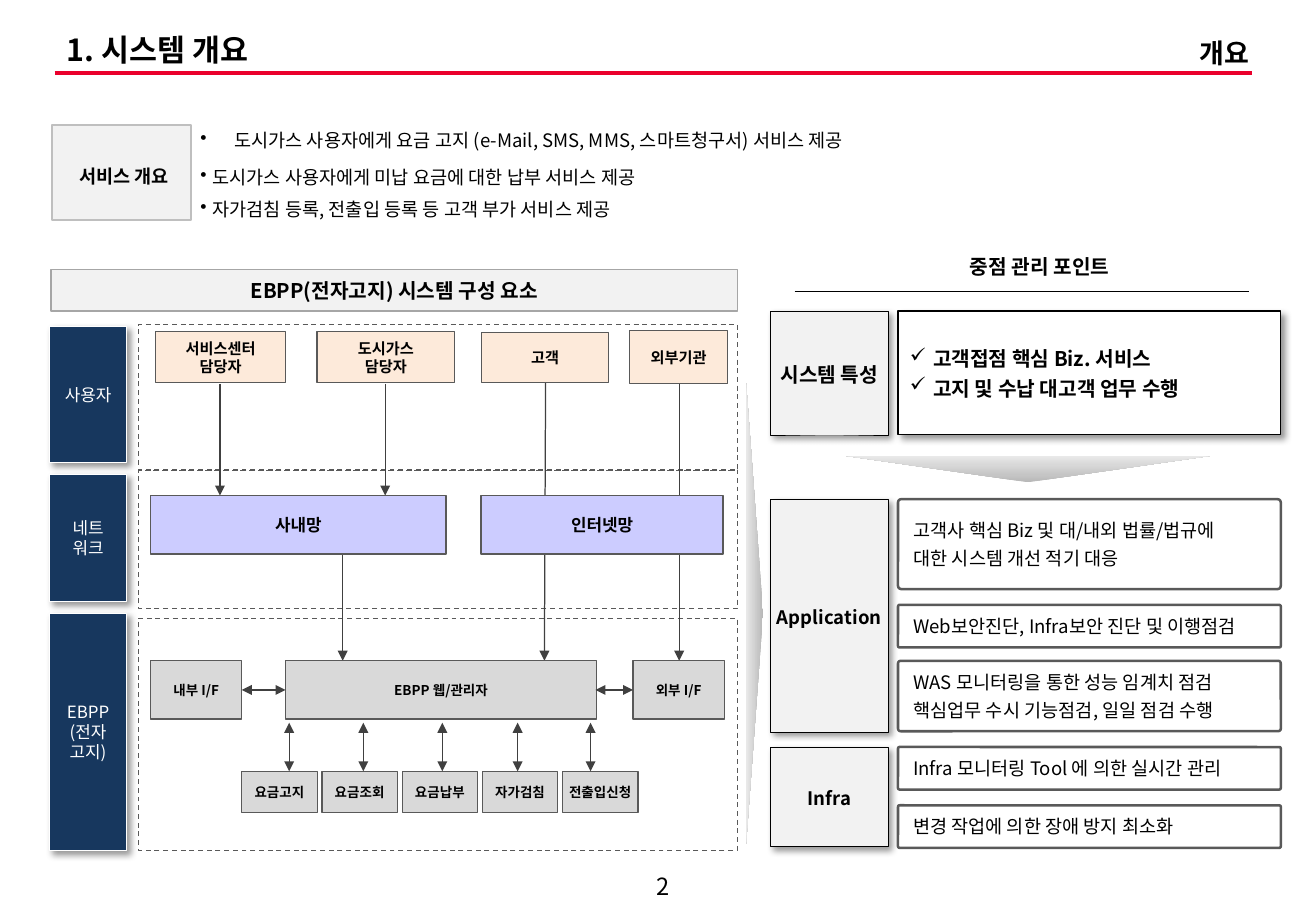
from lxml import etree
from pptx import Presentation
from pptx.dml.color import RGBColor
from pptx.enum.dml import MSO_LINE
from pptx.enum.shapes import MSO_CONNECTOR, MSO_SHAPE
from pptx.enum.text import MSO_ANCHOR, MSO_AUTO_SIZE, PP_ALIGN
from pptx.oxml.ns import qn
from pptx.util import Inches, Pt

RECTANGLE = MSO_SHAPE.RECTANGLE
ROUNDED = MSO_SHAPE.ROUNDED_RECTANGLE
TRIANGLE = MSO_SHAPE.ISOSCELES_TRIANGLE
STRAIGHT = MSO_CONNECTOR.STRAIGHT
DASH = MSO_LINE.DASH
NO_AUTOFIT = MSO_AUTO_SIZE.NONE
TOP, MIDDLE = MSO_ANCHOR.TOP, MSO_ANCHOR.MIDDLE
LEFT, CENTER, RIGHT = PP_ALIGN.LEFT, PP_ALIGN.CENTER, PP_ALIGN.RIGHT

COLORS = {
    "black": "000000", "white": "FFFFFF", "red": "EA002C", "navy": "17375E",
    "pale": "F2F2F2", "silver": "BFBFBF", "gray": "A6A6A6", "border": "595959",
    "arrow": "404040", "peach": "FDEADA", "lavender": "CCCCFF", "module": "D9D9D9",
    "shade_dark": "B8B8B8", "shade_light": "E9E9E9",
}
WIDE_INSET = (0.1, 0.05, 0.1, 0.05)
NODE_INSET = (0, 0.05, 0, 0.05)
CARD_INSET = (0.12, 0.04, 0.08, 0.04)


def rgb(name):
    return RGBColor.from_string(COLORS[name])


class SlideBuilder:
    font = "Noto Sans CJK KR"

    def __init__(self, deck):
        self.page = deck.slides.add_slide(deck.slide_layouts[5])

    def set_text(self, box, lines, size, bold=False, color="black", align=CENTER,
                 anchor=MIDDLE, inset=WIDE_INSET, wrap=True, spacing=None, gap=0):
        frame = box.text_frame
        frame.text = "\n".join(lines)
        frame.auto_size = NO_AUTOFIT
        frame.word_wrap = wrap
        frame.vertical_anchor = anchor
        (frame.margin_left, frame.margin_top,
         frame.margin_right, frame.margin_bottom) = map(Inches, inset)
        for index, para in enumerate(frame.paragraphs):
            para.alignment = align
            para.line_spacing = spacing
            para.space_before = Pt(gap if index else 0)
            for span in para.runs:
                span.font.size = Pt(size)
                span.font.bold = bold
                span.font.color.rgb = rgb(color)
                span.font.name = self.font
                properties = span._r.get_or_add_rPr()
                etree.SubElement(properties, qn("a:ea"), typeface=self.font)
        return frame

    def bullet(self, para, symbol, indent):
        properties = para._p.get_or_add_pPr()
        properties.set("marL", str(Inches(indent)))
        properties.set("indent", str(-Inches(indent)))
        etree.SubElement(properties, qn("a:buChar"), char=symbol)

    def title(self, text, left, top, width, height):
        box = self.page.shapes.title
        box.left, box.top, box.width, box.height = map(Inches, (left, top, width, height))
        self.set_text(box, [text], 18, bold=True, align=LEFT, spacing=0.9)

    def text(self, place, lines, size, **style):
        box = self.page.shapes.add_textbox(*map(Inches, place))
        return self.set_text(box, lines, size, **style)

    def shape(self, place, fill, line=None, weight=0.75, kind=RECTANGLE,
              dash=None, shadow=False):
        box = self.page.shapes.add_shape(kind, *map(Inches, place))
        box.shadow.inherit = False
        box.fill.solid()
        box.fill.fore_color.rgb = rgb(fill)
        if line:
            box.line.color.rgb = rgb(line)
            box.line.width = Pt(weight)
            box.line.dash_style = dash
        else:
            box.line.fill.background()
        if kind == ROUNDED:
            box.adjustments[0] = 0.036
        if shadow:
            effects = box.element.spPr.find(qn("a:effectLst"))
            outer = etree.SubElement(effects, qn("a:outerShdw"), blurRad=str(Pt(4)),
                                     dist=str(Pt(3)), dir="2700000", algn="tl",
                                     rotWithShape="0")
            tint = etree.SubElement(outer, qn("a:srgbClr"), val=COLORS["black"])
            etree.SubElement(tint, qn("a:alpha"), val="40000")
        return box

    def node(self, place, lines, fill, size, weight=0.75):
        box = self.shape(place, fill, "border", weight)
        self.set_text(box, lines, size, bold=True, inset=NODE_INSET)

    def wedge(self, place, rotation):
        box = self.shape(place, "shade_dark", kind=TRIANGLE)
        box.rotation = rotation
        box.fill.gradient()
        box.fill.gradient_angle = 270
        for stop, name in zip(box.fill.gradient_stops, ("shade_dark", "shade_light")):
            stop.color.rgb = rgb(name)

    def line(self, start, end, color="arrow", weight=0.75, ends=()):
        link = self.page.shapes.add_connector(STRAIGHT, *map(Inches, start + end))
        link.line.color.rgb = rgb(color)
        link.line.width = Pt(weight)
        properties = link.element.spPr
        for end_name in ends:
            etree.SubElement(properties.find(qn("a:ln")), qn(f"a:{end_name}"), type="triangle")
        etree.SubElement(properties, qn("a:effectLst"))


def add_header(slide):
    slide.text((5.1, 7.14, 0.71, 0.31), ["2"], 14)
    slide.line((0.45, 0.6), (10.3, 0.6), "red", 2.25)
    slide.title("1. 시스템 개요", 0.45, 0.24, 8.03, 0.37)
    slide.text((9.12, 0.25, 1.26, 0.37), ["개요"], 16, bold=True, align=RIGHT, anchor=TOP)


def add_overview(slide):
    label = slide.shape((0.43, 1.03, 1.14, 0.78), "pale", "silver", 1)
    slide.set_text(label, ["서비스 개요"], 11, bold=True, wrap=False, spacing=1.35,
                   inset=(0.14, 0.05, 0.1, 0.05))
    services = [
        "도시가스 사용자에게 요금 고지 (e-Mail, SMS, MMS, 스마트청구서) 서비스 제공",
        "도시가스 사용자에게 미납 요금에 대한 납부 서비스 제공",
        "자가검침 등록, 전출입 등록 등 고객 부가 서비스 제공",
    ]
    frame = slide.text((1.55, 0.99, 9.04, 0.89), services, 11, align=LEFT,
                       anchor=TOP, spacing=Pt(18.7))
    first = frame.paragraphs[0]
    first.line_spacing = Pt(15)
    first.space_after = Pt(3)
    for para, indent in zip(frame.paragraphs, (0.28, 0.1, 0.1)):
        slide.bullet(para, "•", indent)


def add_architecture(slide):
    heading = slide.shape((0.42, 2.22, 5.65, 0.34), "pale", "gray", 1)
    slide.set_text(heading, ["EBPP(전자고지) 시스템 구성 요소"], 12, bold=True, wrap=False)
    for top, height in ((5.09, 1.91), (3.87, 1.14), (2.67, 1.2)):
        slide.shape((1.14, top, 4.93, height), "white", "border", dash=DASH)
    for top, height, lines in ((2.69, 1.12, ["사용자"]), (3.91, 1.04, ["네트", "워크"]),
                               (5.05, 1.95, ["EBPP", "(전자", "고지)"])):
        layer = slide.shape((0.41, top, 0.63, height), "navy", "white", shadow=True)
        slide.set_text(layer, lines, 10, color="white", inset=(0.04, 0.05, 0.04, 0.05))

    for start, end in (((1.81, 3.16), (1.81, 4.08)), ((3.17, 3.16), (3.17, 4.08)),
                       ((4.49, 3.15), (4.48, 5.44)), ((5.59, 3.16), (5.59, 5.44)),
                       ((2.82, 4.52), (2.82, 5.44))):
        slide.line(start, end, ends=("tailEnd",))
    for place, lines in (((1.28, 2.73, 1.07, 0.42), ["서비스센터", "담당자"]),
                         ((2.61, 2.73, 1.13, 0.42), ["도시가스", "담당자"]),
                         ((3.96, 2.74, 1.05, 0.41), ["고객"]),
                         ((5.18, 2.72, 0.81, 0.44), ["외부기관"])):
        slide.node(place, lines, "peach", 9)
    for left, width, name in ((1.24, 2.43, "사내망"), (3.96, 1.99, "인터넷망")):
        slide.node((left, 4.08, width, 0.48), [name], "lavender", 10, 1)
    for left, width, name in ((1.24, 0.75, "내부 I/F"), (2.35, 2.56, "EBPP 웹/관리자"),
                              (5.21, 0.75, "외부 I/F")):
        slide.node((left, 5.44, width, 0.48), [name], "module", 8)

    both_ends = ("headEnd", "tailEnd")
    for start, end in ((1.99, 2.35), (4.9, 5.21)):
        slide.line((start, 5.68), (end, 5.68), ends=both_ends)
    modules = ["요금고지", "요금조회", "요금납부", "자가검침", "전출입신청"]
    for index, (name, center) in enumerate(zip(modules, (2.38, 2.99, 3.64, 4.26, 4.86))):
        slide.node((1.99 + 0.66 * index, 6.35, 0.62, 0.34), [name], "module", 8)
        slide.line((center, 5.95), (center, 6.35), ends=both_ends)


def add_management_points(slide):
    slide.wedge((4.31, 4.98, 3.8, 0.14), 90)
    slide.wedge((6.94, 3.75, 3.04, 0.22), 180)
    slide.text((6.79, 1.98, 3.49, 0.42), ["중점 관리 포인트"], 12, bold=True,
               inset=(0.04, 0.05, 0, 0.05))
    slide.line((6.54, 2.4), (10.28, 2.4), "black")
    for top, height, name, size in ((2.56, 1.02, "시스템 특성", 12),
                                    (4.11, 1.92, "Application", 11),
                                    (6.15, 0.82, "Infra", 11)):
        label = slide.shape((6.34, top, 0.97, height), "pale", "black", 0.25, shadow=True)
        slide.set_text(label, [name], size, bold=True, wrap=False, spacing=1.1)

    traits = slide.shape((7.39, 2.56, 3.15, 1.02), "white", "black", shadow=True)
    frame = slide.set_text(traits, ["고객접점 핵심 Biz. 서비스", "고지 및 수납 대고객 업무 수행"], 12,
                           bold=True, align=LEFT, spacing=1.2, inset=(0.1, 0.05, 0.1, 0.08))
    for para in frame.paragraphs:
        slide.bullet(para, "✓", 0.19)

    for top, height, lines in (
            (4.11, 0.74, ["고객사 핵심 Biz 및 대/내외 법률/법규에", "대한 시스템 개선 적기 대응"]),
            (4.98, 0.35, ["Web보안진단, Infra보안 진단 및 이행점검"]),
            (5.44, 0.58, ["WAS 모니터링을 통한 성능 임계치 점검", "핵심업무 수시 기능점검, 일일 점검 수행"]),
            (6.15, 0.35, ["Infra 모니터링 Tool 에 의한 실시간 관리"]),
            (6.63, 0.35, ["변경 작업에 의한 장애 방지 최소화"])):
        card = slide.shape((7.39, top, 3.15, height), "white", "border", 1.5, ROUNDED)
        slide.set_text(card, lines, 11, align=LEFT, inset=CARD_INSET, gap=3)


def main():
    deck = Presentation()
    deck.slide_width, deck.slide_height = Inches(10.83), Inches(7.5)
    slide = SlideBuilder(deck)
    add_header(slide)
    add_overview(slide)
    add_architecture(slide)
    add_management_points(slide)
    deck.save("out.pptx")


if __name__ == "__main__":
    main()
